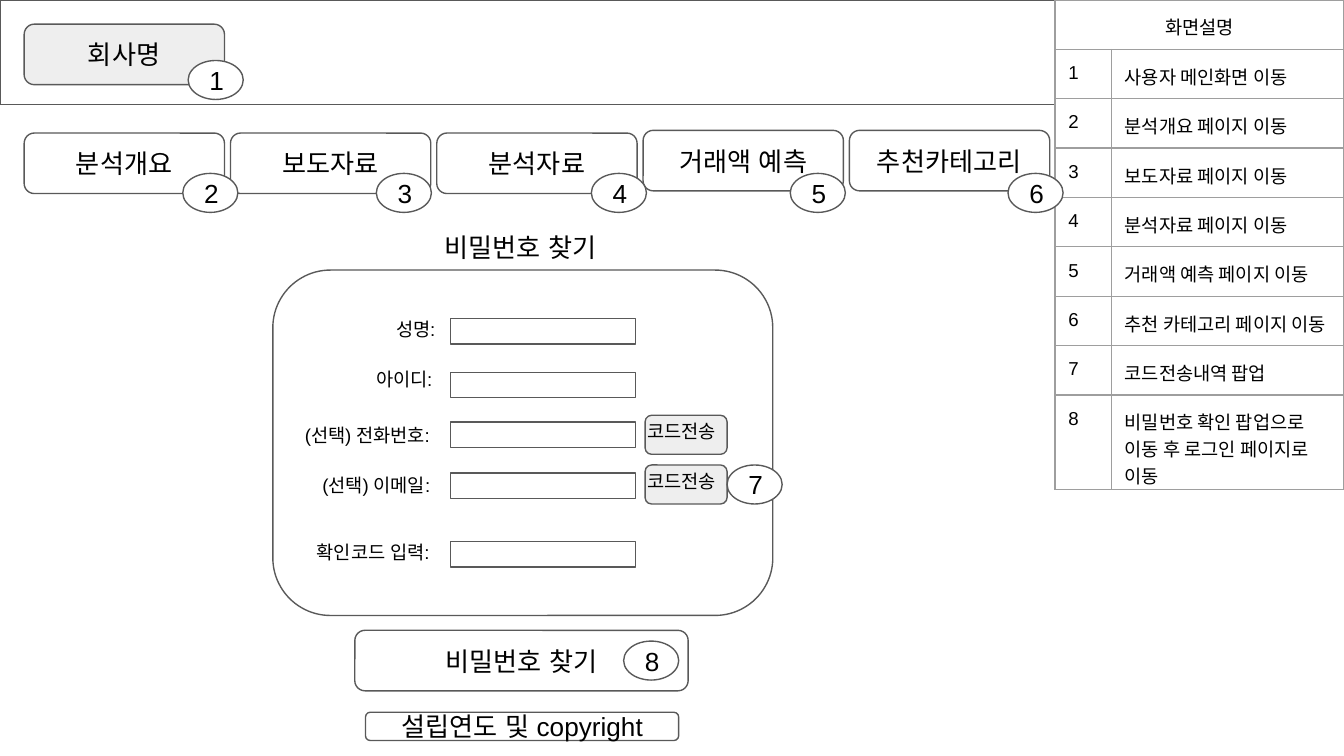
import pptx
import pptx.util
import pptx.dml.color
import pptx.enum.shapes
import pptx.enum.text
import pptx.oxml
import pptx.oxml.ns

KIND = pptx.enum.shapes.MSO_SHAPE
ALIGN = pptx.enum.text.PP_ALIGN
ANCHOR = pptx.enum.text.MSO_ANCHOR
FIT = pptx.enum.text.MSO_AUTO_SIZE

WIDE = pptx.util.Inches(10)
HIGH = pptx.util.Emu(WIDE * 9 // 16)
CELL = WIDE / 100  # side of one square of the grid; all places count these
FONT, INK, EDGE, RULE = "Arial", "000000", "595959", "9E9E9E"
WHITE, GREY = "FFFFFF", "EEEEEE"
PAD = {"margin_" + side: pptx.util.Inches(0.1)
       for side in ("left", "right", "top", "bottom")}
BODY = {**PAD, "word_wrap": True}
MID = {**BODY, "vertical_anchor": ANCHOR.MIDDLE}
TOP = {**BODY, "vertical_anchor": ANCHOR.TOP, "auto_size": FIT.SHAPE_TO_FIT_TEXT}

MENU = ["분석개요", "보도자료", "분석자료", "거래액 예측", "추천카테고리"]
# label, indent, label left, label top, label width, field top
FORM = [("성명:", 2.6, 25.9, 22.8, 9.4, 23.7),
        ("아이디:", 1.1, 25.9, 26.5, 10.6, 27.7),
        ("(선택) 전화번호:", 0, 21.7, 30.7, 14.7, 31.4),
        ("(선택) 이메일:", 0.4, 22.6, 34.4, 13.8, 35.2),
        ("확인코드 입력:", 1.1, 21.5, 39.4, 14.9, 40.3)]
MARKS = [(14, 4.5), (13.6, 12.9), (28, 12.9), (44, 12.9),
         (58.8, 12.9), (75, 12.9), (54.1, 34.6), (46.4, 47.7)]
NOTES = ["사용자 메인화면 이동", "분석개요 페이지 이동", "보도자료 페이지 이동",
         "분석자료 페이지 이동", "거래액 예측 페이지 이동",
         "추천 카테고리 페이지 이동", "코드전송내역 팝업",
         "비밀번호 확인 팝업으로 이동 후 로그인 페이지로 이동"]


def span(count):
    """Turn a count of grid squares into a length."""
    return pptx.util.Emu(round(count * CELL))


def spans(*counts):
    """Turn several grid counts into lengths."""
    return [span(count) for count in counts]


def tint(code):
    """Give the colour for a hex string."""
    return pptx.dml.color.RGBColor.from_string(code)


def apply(item, values):
    """Set each attribute named in a dict."""
    for name, value in values.items():
        setattr(item, name, value)


def write(frame, text, size, align=ALIGN.LEFT, indent=0, east=True):
    """Put one styled paragraph in a text frame."""
    para = frame.paragraphs[0]
    para.alignment = align
    run = para.add_run()
    run.text = text
    apply(run.font, {"name": FONT, "size": pptx.util.Pt(size), "bold": False})
    run.font.color.rgb = tint(INK)
    if east:
        run.font._element.append(pptx.oxml.parse_xml(
            f'<a:ea {pptx.oxml.ns.nsdecls("a")} typeface="{FONT}"/>'))
    if indent:
        para._p.get_or_add_pPr().set("marL", str(span(indent)))


def box(slide, kind, place, fill=None, text=None):
    """Draw an outlined shape, with centred text if given."""
    shape = slide.shapes.add_shape(kind, *spans(*place))
    shape.shadow.inherit = False
    if fill:
        shape.fill.solid()
        shape.fill.fore_color.rgb = tint(fill)
    else:
        shape.fill.background()
    shape.line.color.rgb = tint(EDGE)
    shape.line.width = pptx.util.Pt(0.75)
    if text:
        apply(shape.text_frame, MID)
        write(shape.text_frame, text, 14, ALIGN.CENTER)


def label(slide, place, text, indent=0):
    """Add a small text box."""
    frame = slide.shapes.add_textbox(*spans(*place)).text_frame
    apply(frame, TOP)
    write(frame, text, 10, indent=indent)


def head(slide, place, text):
    """Move and fill the title placeholder."""
    title = slide.shapes.title
    apply(title, dict(zip(("left", "top", "width", "height"), spans(*place))))
    apply(title.text_frame, TOP)
    write(title.text_frame, text, 14, ALIGN.CENTER)


def frame_cell(cell):
    """Rule all four sides of a table cell and clear its fill."""
    props = cell._tc.get_or_add_tcPr()
    for side in "LRTB":
        props.append(pptx.oxml.parse_xml(
            f'<a:ln{side} {pptx.oxml.ns.nsdecls("a")} w="9525"><a:solidFill>'
            f'<a:srgbClr val="{RULE}"/></a:solidFill></a:ln{side}>'))
    cell.fill.background()
    apply(cell, PAD)


def guide(slide, left, top, cols, row):
    """Add the table that explains the numbered marks."""
    count = len(NOTES) + 1
    place = spans(left, top, sum(cols), row * count)
    table = slide.shapes.add_table(count, len(cols), *place).table
    apply(table, {"first_row": False, "horz_banding": False})
    for col, width in zip(table.columns, cols):
        col.width = span(width)
    for cell in table.iter_cells():
        frame_cell(cell)
    table.cell(0, 0).merge(table.cell(0, 1))
    write(table.cell(0, 0).text_frame, "화면설명", 10, ALIGN.CENTER, east=False)
    for num, note in enumerate(NOTES, 1):
        for col, text in enumerate((str(num), note)):
            write(table.cell(num, col).text_frame, text, 10, east=False)


def main():
    """Build the slide and save it."""
    deck = pptx.Presentation()
    apply(deck, {"slide_width": WIDE, "slide_height": HIGH})
    slide = deck.slides.add_slide(deck.slide_layouts[5])
    head(slide, (27.6, 16.2, 22.3, 4.4), "비밀번호 찾기")

    box(slide, KIND.RECTANGLE, (0, 0, 78.5, 7.8))
    box(slide, KIND.ROUNDED_RECTANGLE, (1.8, 1.8, 14.9, 4.5), GREY, "회사명")
    for num, text in enumerate(MENU):
        place = (1.8 + 15.35 * num, 9.9 if num < 3 else 9.7, 14.9, 4.5)
        box(slide, KIND.ROUNDED_RECTANGLE, place, WHITE, text)

    box(slide, KIND.ROUNDED_RECTANGLE, (20.3, 20.1, 37.2, 25.7))
    for text, indent, left, top, width, field in FORM:
        box(slide, KIND.RECTANGLE, (33.5, field, 13.8, 1.9), WHITE)
        label(slide, (left, top, width, 3.7), text, indent)
    for top in (30.9, 34.6):
        box(slide, KIND.ROUNDED_RECTANGLE, (48, top, 6.1, 2.9), GREY)
        label(slide, (47.2, top - 0.5, 10.6, 5.4), "코드전송")

    box(slide, KIND.ROUNDED_RECTANGLE, (26.4, 46.9, 24.8, 4.5), None, "비밀번호 찾기")
    box(slide, KIND.ROUNDED_RECTANGLE, (27.2, 53, 23.3, 2.1), None,
        "설립연도 및 copyright")
    guide(slide, 78.5, 0, (4.2, 17.3), 3.1)
    for num, (left, top) in enumerate(MARKS, 1):
        box(slide, KIND.FLOWCHART_CONNECTOR, (left, top, 4.1, 2.9), WHITE, str(num))
    deck.save("out.pptx")


main()
